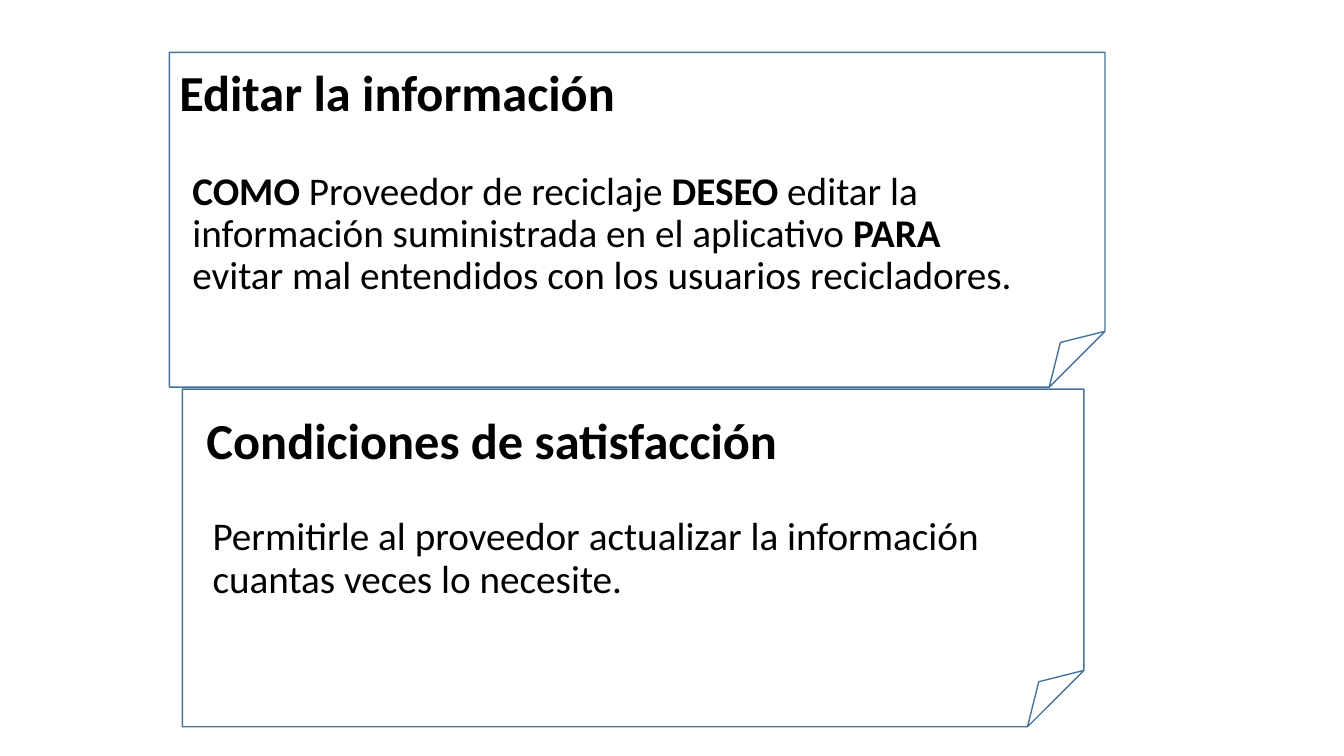
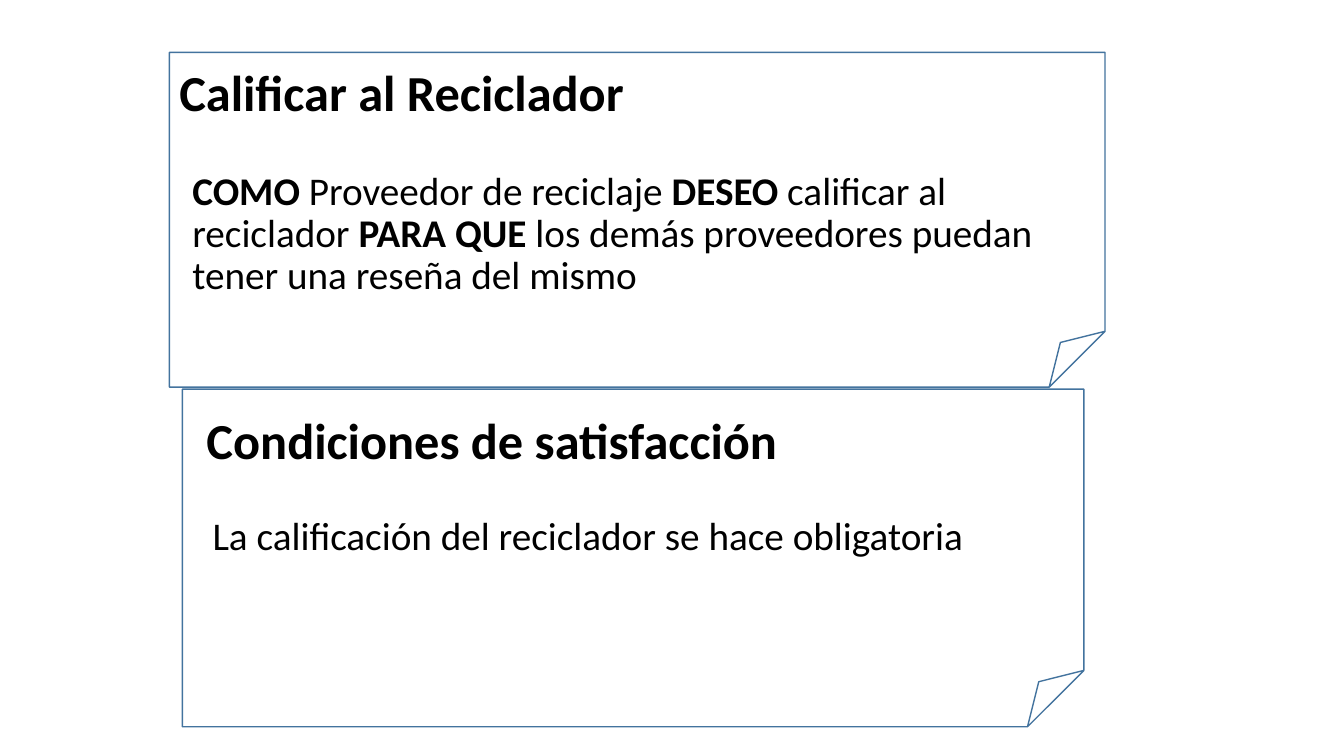
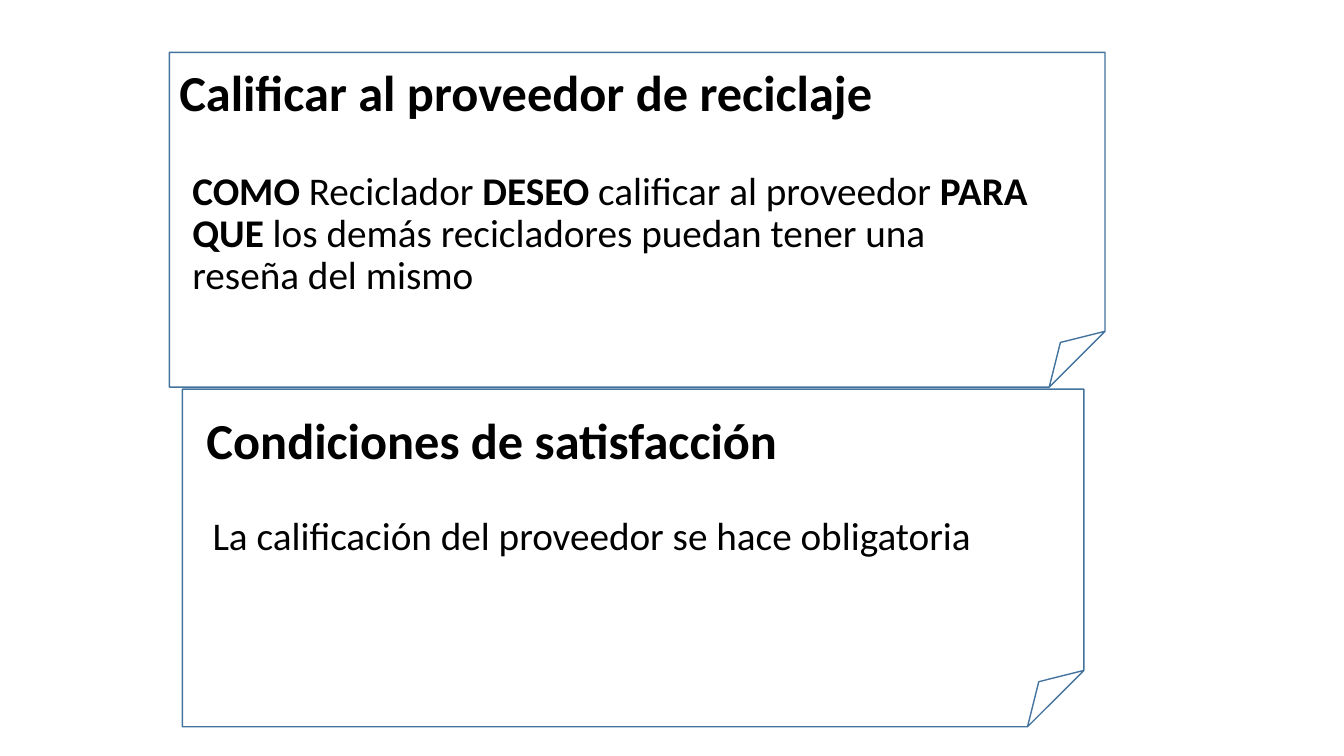
"""Build three user story slides, each with a story card and a conditions card."""
from dataclasses import dataclass

from pptx import Presentation
from pptx import util as u
from pptx.dml.color import RGBColor
from pptx.enum import shapes, text

PX = 9144
SLIDE_SIZE = (1333, 750)
STORY_CARD = (168, 52, 928, 332)
CONDITIONS_CARD = (181, 386, 894, 335)
HEADING_SIZE = (1150, 53)
BODY_SIZE = (853, 145)
CONDITIONS_HEADING = "Condiciones de satisfacción"

STORIES = [
    (
        "Editar la información",
        "**COMO **Proveedor de reciclaje **DESEO** editar la información suministrada "
        "en el aplicativo **PARA** evitar mal entendidos con los usuarios recicladores.",
        "Permitirle al proveedor actualizar la información cuantas veces lo necesite.",
    ),
    (
        "Calificar al Reciclador",
        "**COMO **Proveedor de reciclaje **DESEO** calificar al reciclador "
        "**PARA QUE **los demás proveedores puedan tener una reseña del mismo",
        "La calificación del reciclador se hace obligatoria",
    ),
    (
        "Calificar al proveedor de reciclaje",
        "**COMO **Reciclador **DESEO** calificar al proveedor "
        "**PARA QUE **los demás recicladores puedan tener una reseña del mismo",
        "La calificación del proveedor se hace obligatoria",
    ),
]


@dataclass(frozen=True)
class Theme:
    """Hold the colours, font and sizes that the slides share."""

    font: str = "Calibri"
    ink: RGBColor = RGBColor(0, 0, 0)
    outline: RGBColor = RGBColor(0x43, 0x73, 0x9E)
    outline_width: int = 1
    heading: int = 36
    body: int = 28
    line_spacing: float = 0.9


THEME = Theme()


def emu(*lengths):
    """Turn px lengths into EMU."""
    return [u.Emu(length * PX) for length in lengths]


def add_card(slide, box):
    """Add an outlined card with a folded corner."""
    card = slide.shapes.add_shape(shapes.MSO_SHAPE.FOLDED_CORNER, *emu(*box))
    card.shadow.inherit = False
    card.fill.background()
    card.line.color.rgb = THEME.outline
    card.line.width = u.Pt(THEME.outline_width)


def add_text(slide, box, marked_text, size, anchor):
    """Add a text box in which double asterisks enclose bold words."""
    frame = slide.shapes.add_textbox(*emu(*box)).text_frame
    frame.word_wrap = True
    frame.vertical_anchor = anchor
    paragraph = frame.paragraphs[0]
    paragraph.line_spacing = THEME.line_spacing
    for index, part in enumerate(marked_text.split("**")):
        if part:
            run = paragraph.add_run()
            run.text = part
            run.font.name = THEME.font
            run.font.size = u.Pt(size)
            run.font.color.rgb = THEME.ink
            run.font.bold = index % 2 == 1


def add_heading(slide, left, top, words):
    """Add a bold heading."""
    add_text(slide, (left, top, *HEADING_SIZE), f"**{words}**",
             THEME.heading, text.MSO_ANCHOR.MIDDLE)


def add_body(slide, left, top, words):
    """Add a body paragraph."""
    add_text(slide, (left, top, *BODY_SIZE), words, THEME.body, text.MSO_ANCHOR.TOP)


def add_story_slide(presentation, heading, story, condition):
    """Add one slide with a story above its conditions."""
    slide = presentation.slides.add_slide(presentation.slide_layouts[6])
    add_heading(slide, 168, 68, heading)
    add_body(slide, 181, 165, story)
    add_card(slide, STORY_CARD)
    add_card(slide, CONDITIONS_CARD)
    add_heading(slide, 195, 413, CONDITIONS_HEADING)
    add_body(slide, 201, 508, condition)


def main():
    """Build and save the presentation."""
    presentation = Presentation()
    presentation.slide_width, presentation.slide_height = emu(*SLIDE_SIZE)
    for story in STORIES:
        add_story_slide(presentation, *story)
    presentation.save("out.pptx")


if __name__ == "__main__":
    main()
